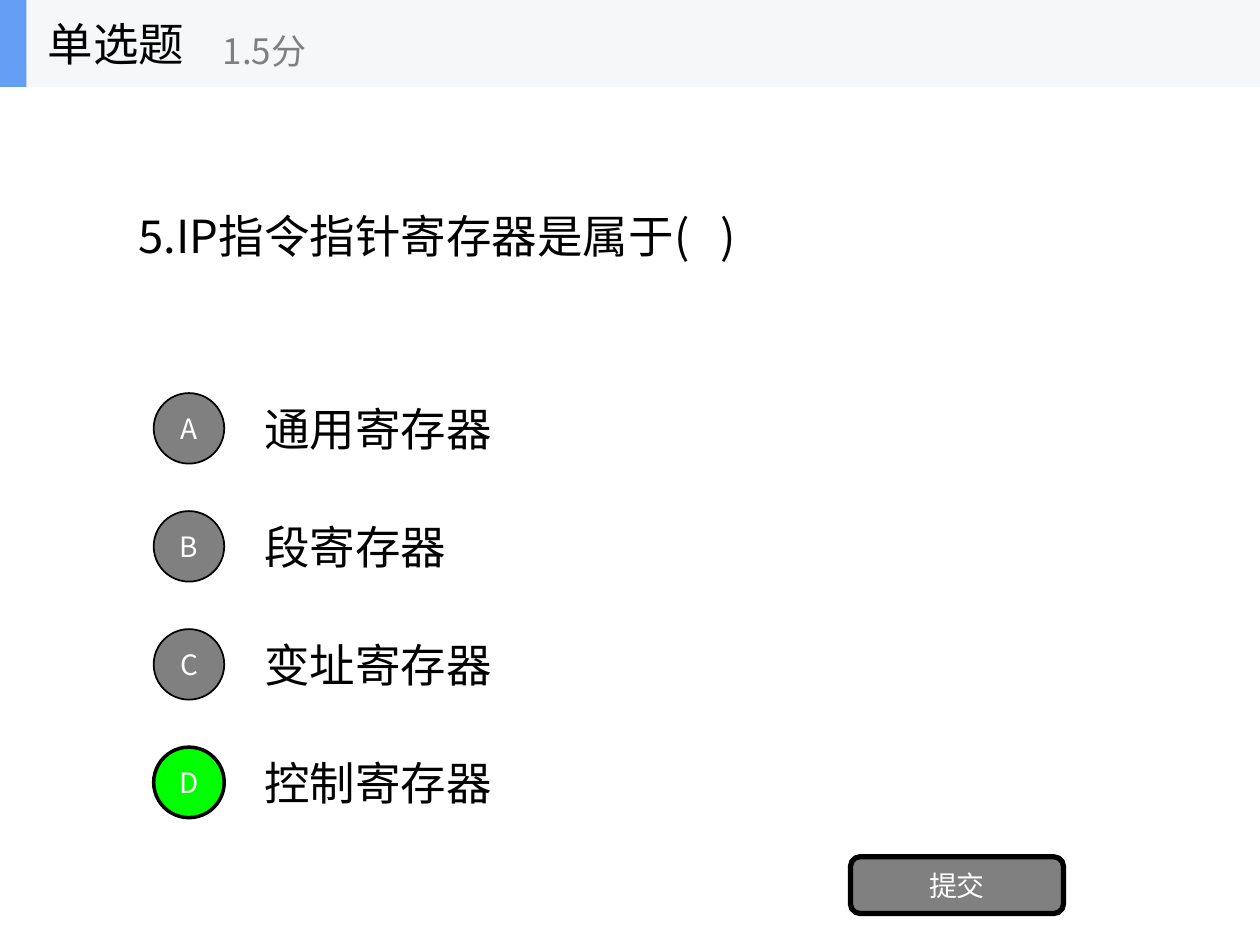
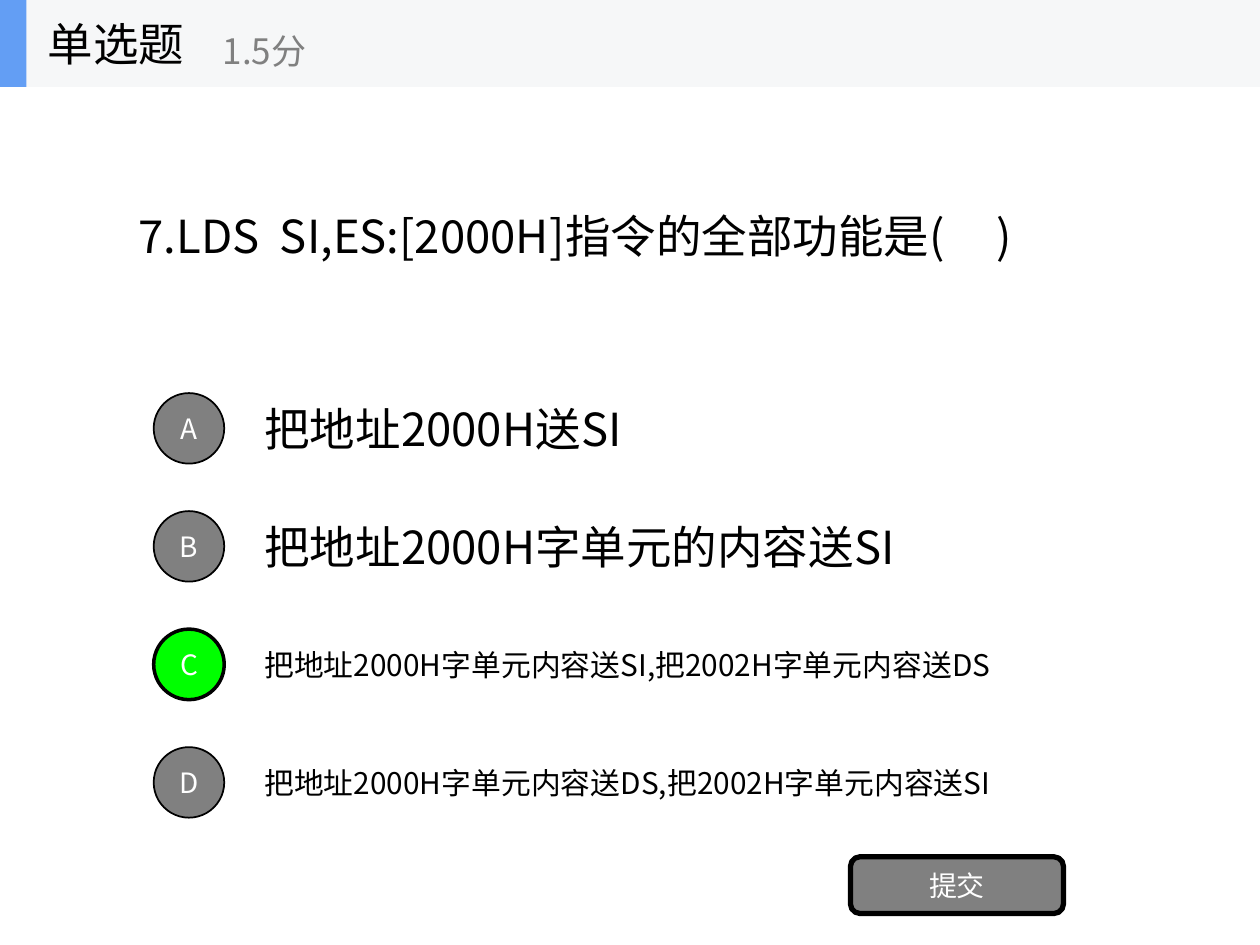
from lxml import etree
from pptx import Presentation
from pptx.dml.color import RGBColor
from pptx.enum.shapes import MSO_SHAPE
from pptx.enum.text import MSO_ANCHOR, MSO_AUTO_SIZE, PP_ALIGN
from pptx.oxml.ns import qn
from pptx.util import Inches, Pt

QUESTIONS = [
    {
        "question": "5.IP指令指针寄存器是属于(   )",
        "size": (5.11, 0.97),
        "correct": "D",
        "answers": [
            ("通用寄存器", 2.11, 0.54, 26),
            ("段寄存器", 1.75, 0.54, 26),
            ("变址寄存器", 2.11, 0.54, 26),
            ("控制寄存器", 2.11, 0.54, 26),
        ],
    },
    {
        "question": "7.LDS  SI,ES:[2000H]指令的全部功能是(     )",
        "size": (7.63, 0.54),
        "correct": "C",
        "answers": [
            ("把地址2000H送SI", 3.19, 0.97, 26),
            ("把地址2000H字单元的内容送SI", 5.36, 0.97, 26),
            ("把地址2000H字单元内容送SI,把2002H字单元内容送DS", 6.1, 0.67, 17),
            ("把地址2000H字单元内容送DS,把2002H字单元内容送SI", 6.1, 0.67, 17),
        ],
    },
]
LETTERS = "ABCD"
CATEGORY, SCORE, SUBMIT = "单选题", "1.5分", "提交"

FONT = "Noto Sans CJK SC"
COLORS = {
    "text": "000000",
    "muted": "808080",
    "light": "FFFFFF",
    "correct": "00FF00",
    "band": "F6F7F8",
    "accent": "639EF4",
}
LEFT, CENTER = PP_ALIGN.LEFT, PP_ALIGN.CENTER
MIDDLE = MSO_ANCHOR.MIDDLE
NO_AUTOFIT = MSO_AUTO_SIZE.NONE
RECT, OVAL, ROUNDED = MSO_SHAPE.RECTANGLE, MSO_SHAPE.OVAL, MSO_SHAPE.ROUNDED_RECTANGLE
TITLE_ONLY = 5

BAND_HEIGHT = 0.69
QUESTION_MIDDLE = 1.87
FIRST_ANSWER, LAST_ANSWER = 3.4, 6.21
ANSWER_STEP = (LAST_ANSWER - FIRST_ANSWER) / (len(LETTERS) - 1)
BADGE = 0.56


def color(name):
    return RGBColor.from_string(COLORS[name])


def write(shape, text, size, ink="text", align=LEFT):
    frame = shape.text_frame
    frame.text = text
    frame_format = {"word_wrap": True, "auto_size": NO_AUTOFIT, "vertical_anchor": MIDDLE}
    for name, value in frame_format.items():
        setattr(frame, name, value)
    paragraph = frame.paragraphs[0]
    paragraph.alignment = align
    run = paragraph.runs[0]
    for name, value in {"size": Pt(size), "name": FONT}.items():
        setattr(run.font, name, value)
    run.font.color.rgb = color(ink)
    east_asian = etree.SubElement(run.font._element, qn("a:ea"))
    east_asian.set("typeface", FONT)


def add_label(shapes, box, text, size, ink="text"):
    label = shapes.add_textbox(*map(Inches, box))
    write(label, text, size, ink)


def add_block(shapes, kind, box, fill, line_width=0):
    block = shapes.add_shape(kind, *map(Inches, box))
    block.shadow.inherit = False
    block.fill.solid()
    block.fill.fore_color.rgb = color(fill)
    if line_width:
        block.line.color.rgb = color("text")
        block.line.width = Pt(line_width)
    else:
        block.line.fill.background()
    return block


def add_question(slide, text, size):
    width, height = size
    box = {"left": 1, "top": QUESTION_MIDDLE - height / 2, "width": width, "height": height}
    for name, value in box.items():
        setattr(slide.shapes.title, name, Inches(value))
    write(slide.shapes.title, text, 26)


def add_answers(shapes, answers, correct):
    for row, (letter, answer) in enumerate(zip(LETTERS, answers)):
        text, width, height, size = answer
        middle = FIRST_ANSWER + row * ANSWER_STEP
        add_label(shapes, (2, middle - height / 2, width, height), text, size)
        fill, line_width = ("correct", 2) if letter == correct else ("muted", 1)
        badge_box = (1.22, middle - BADGE / 2, BADGE, BADGE)
        badge = add_block(shapes, OVAL, badge_box, fill, line_width)
        write(badge, letter, 16, "light", CENTER)


def add_submit(shapes):
    submit = add_block(shapes, ROUNDED, (6.75, 6.8, 1.69, 0.45), "muted", 3)
    write(submit, SUBMIT, 16, "light", CENTER)


def add_header(shapes):
    header = shapes.add_group_shape().shapes
    add_block(header, RECT, (0, 0, 10, BAND_HEIGHT), "band")
    add_block(header, RECT, (0, 0, 0.21, BAND_HEIGHT), "accent")
    add_label(header, (0.28, 0, 2.08, BAND_HEIGHT), CATEGORY, 26)
    add_label(header, (1.67, 0.12, 2.5, 0.56), SCORE, 20, "muted")


def main():
    deck = Presentation()
    deck.slide_width, deck.slide_height = Inches(10), Inches(7.5)
    for item in QUESTIONS:
        slide = deck.slides.add_slide(deck.slide_layouts[TITLE_ONLY])
        add_question(slide, item["question"], item["size"])
        add_answers(slide.shapes, item["answers"], item["correct"])
        add_submit(slide.shapes)
        add_header(slide.shapes)
    deck.save("out.pptx")


if __name__ == "__main__":
    main()
